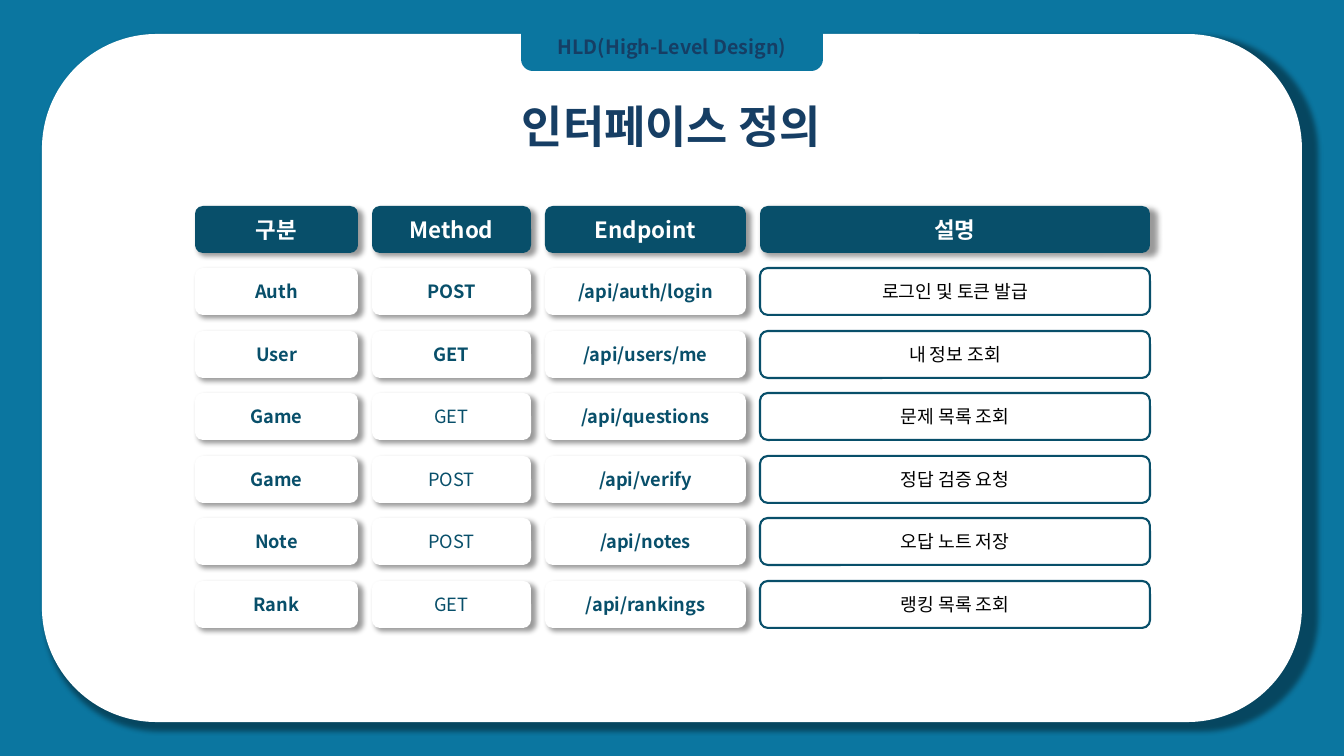
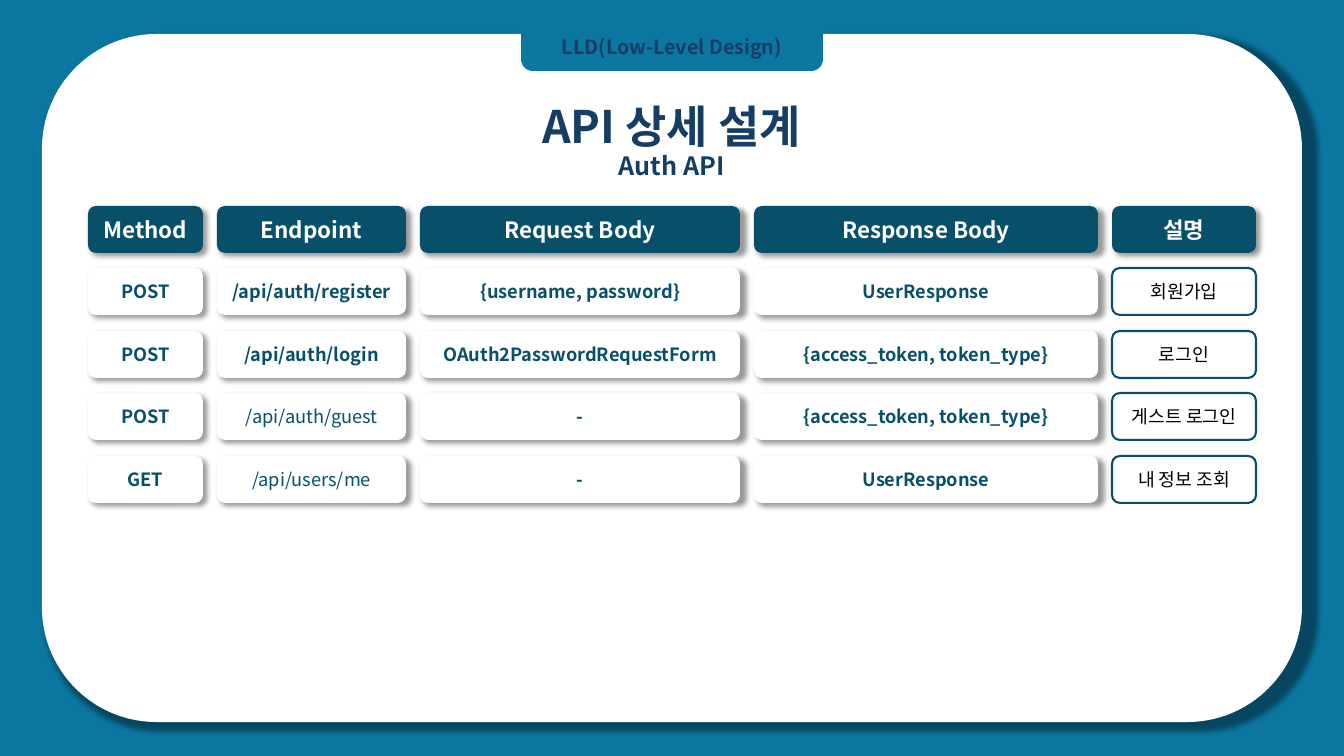
import pptx
import pptx.util
import pptx.dml.color
import pptx.enum.shapes
import pptx.enum.text
import pptx.oxml
import pptx.oxml.ns

SLIDES = [
    {
        "tab": "HLD(High-Level Design)",
        "title": "인터페이스 정의",
        "sub": None,
        "left": 195,
        "widths": [163, 159, 201, 390],
        "light": (1, 3),  # column and first row set in regular weight
        "rows": [
            ("구분", "Method", "Endpoint", "설명"),
            ("Auth", "POST", "/api/auth/login", "로그인 및 토큰 발급"),
            ("User", "GET", "/api/users/me", "내 정보 조회"),
            ("Game", "GET", "/api/questions", "문제 목록 조회"),
            ("Game", "POST", "/api/verify", "정답 검증 요청"),
            ("Note", "POST", "/api/notes", "오답 노트 저장"),
            ("Rank", "GET", "/api/rankings", "랭킹 목록 조회"),
        ],
    },
    {
        "tab": "LLD(Low-Level Design)",
        "title": "API 상세 설계",
        "sub": "Auth API",
        "left": 88,
        "widths": [115, 189, 320, 344, 144],
        "light": (1, 3),
        "rows": [
            ("Method", "Endpoint", "Request Body", "Response Body", "설명"),
            ("POST", "/api/auth/register", "{username, password}",
             "UserResponse", "회원가입"),
            ("POST", "/api/auth/login", "OAuth2PasswordRequestForm",
             "{access_token, token_type}", "로그인"),
            ("POST", "/api/auth/guest", "-",
             "{access_token, token_type}", "게스트 로그인"),
            ("GET", "/api/users/me", "-", "UserResponse", "내 정보 조회"),
        ],
    },
]

FONT = "Noto Sans CJK KR"
BLUE, DEEP, NAVY = "0B76A0", "084F6A", "163E64"
WHITE, BLACK = "FFFFFF", "000000"
WIDE, HIGH = 1344, 756
TOP, CELL, GAP, PAIR = 206, 47, 14, 125  # two rows take PAIR px
SCALE = 12192000 / WIDE

KIND = pptx.enum.shapes.MSO_SHAPE
ANCHOR = pptx.enum.text.MSO_ANCHOR
CENTER = pptx.enum.text.PP_ALIGN.CENTER
Pt = pptx.util.Pt

SHADOW = (
    '<a:effectLst %s><a:outerShdw blurRad="50800" dist="38100" dir="2700000" '
    'sx="101000" sy="101000" algn="tl" rotWithShape="0">'
    '<a:srgbClr val="000000"><a:alpha val="40000"/></a:srgbClr>'
    '</a:outerShdw></a:effectLst>' % pptx.oxml.ns.nsdecls("a")
)


def px(*vals):
    return [pptx.util.Emu(round(v * SCALE)) for v in vals]


def color(code):
    return pptx.dml.color.RGBColor.from_string(code)


def write(para, text, size, code, bold=True):
    para.alignment = CENTER
    run = para.add_run()
    run.text = text
    for key, val in {"name": FONT, "size": Pt(size), "bold": bold}.items():
        setattr(run.font, key, val)
    run.font.color.rgb = color(code)
    face = pptx.oxml.parse_xml(
        '<a:ea %s typeface="%s"/>' % (pptx.oxml.ns.nsdecls("a"), FONT))
    run.font._element.find(pptx.oxml.ns.qn("a:latin")).addnext(face)


def block(slide, kind, box, fill=None, line=None, shade=False):
    shape = slide.shapes.add_shape(kind, *px(*box))
    shape.shadow.inherit = False
    if shade:
        props = shape._element.spPr
        props.remove(props.find(pptx.oxml.ns.qn("a:effectLst")))
        props.append(pptx.oxml.parse_xml(SHADOW))
    if fill:
        shape.fill.solid()
        shape.fill.fore_color.rgb = color(fill)
    else:
        shape.fill.background()
    if line:
        shape.line.color.rgb = color(line)
        shape.line.width = Pt(1.5)
    else:
        shape.line.fill.background()
    return shape


def label(slide, box):
    """Add an empty text box without margins and return its frame."""
    frame = slide.shapes.add_textbox(*px(*box)).text_frame
    frame.word_wrap = True
    for side in ("left", "top", "right", "bottom"):
        setattr(frame, "margin_" + side, 0)
    return frame


def base(slide, page):
    """Draw the background, card, tab and title."""
    slide.background.fill.solid()
    slide.background.fill.fore_color.rgb = color(BLUE)
    block(slide, KIND.ROUNDED_RECTANGLE, (42, 34, 1260, 688), WHITE, shade=True)
    tab = block(slide, KIND.ROUND_2_SAME_RECTANGLE, (521, 0, 302, 71), BLUE)
    tab.rotation = 180
    write(label(slide, (534, 35, 276, 30)).paragraphs[0], page["tab"], 14, NAVY)
    head = label(slide, (428, 99, 487, 95))
    write(head.paragraphs[0], page["title"], 32, NAVY)
    if page["sub"]:
        para = head.add_paragraph()
        para.line_spacing = Pt(20)
        write(para, page["sub"], 18, NAVY)


def grid(slide, page):
    widths, light = page["widths"], page["light"]
    last = len(widths) - 1
    for row, texts in enumerate(page["rows"]):
        left, top = page["left"], TOP + row * PAIR // 2
        for col, (text, width) in enumerate(zip(texts, widths)):
            if row == 0:
                look, ink, size = {"fill": DEEP, "shade": True}, WHITE, 16
            elif col == last:
                look, ink, size = {"line": DEEP}, BLACK, 13
            else:
                look, ink, size = {"fill": WHITE, "shade": True}, DEEP, 13
            thin = row > 0 and (
                col == last or (col == light[0] and row >= light[1]))
            cell = block(slide, KIND.ROUNDED_RECTANGLE,
                         (left, top, width, CELL), **look)
            frame = cell.text_frame
            frame.word_wrap = True
            frame.vertical_anchor = ANCHOR.MIDDLE
            write(frame.paragraphs[0], text, size, ink, not thin)
            left += width + GAP


def main():
    deck = pptx.Presentation()
    deck.slide_width, deck.slide_height = px(WIDE, HIGH)
    for page in SLIDES:
        slide = deck.slides.add_slide(deck.slide_layouts[6])
        base(slide, page)
        grid(slide, page)
    deck.save("out.pptx")


if __name__ == "__main__":
    main()
